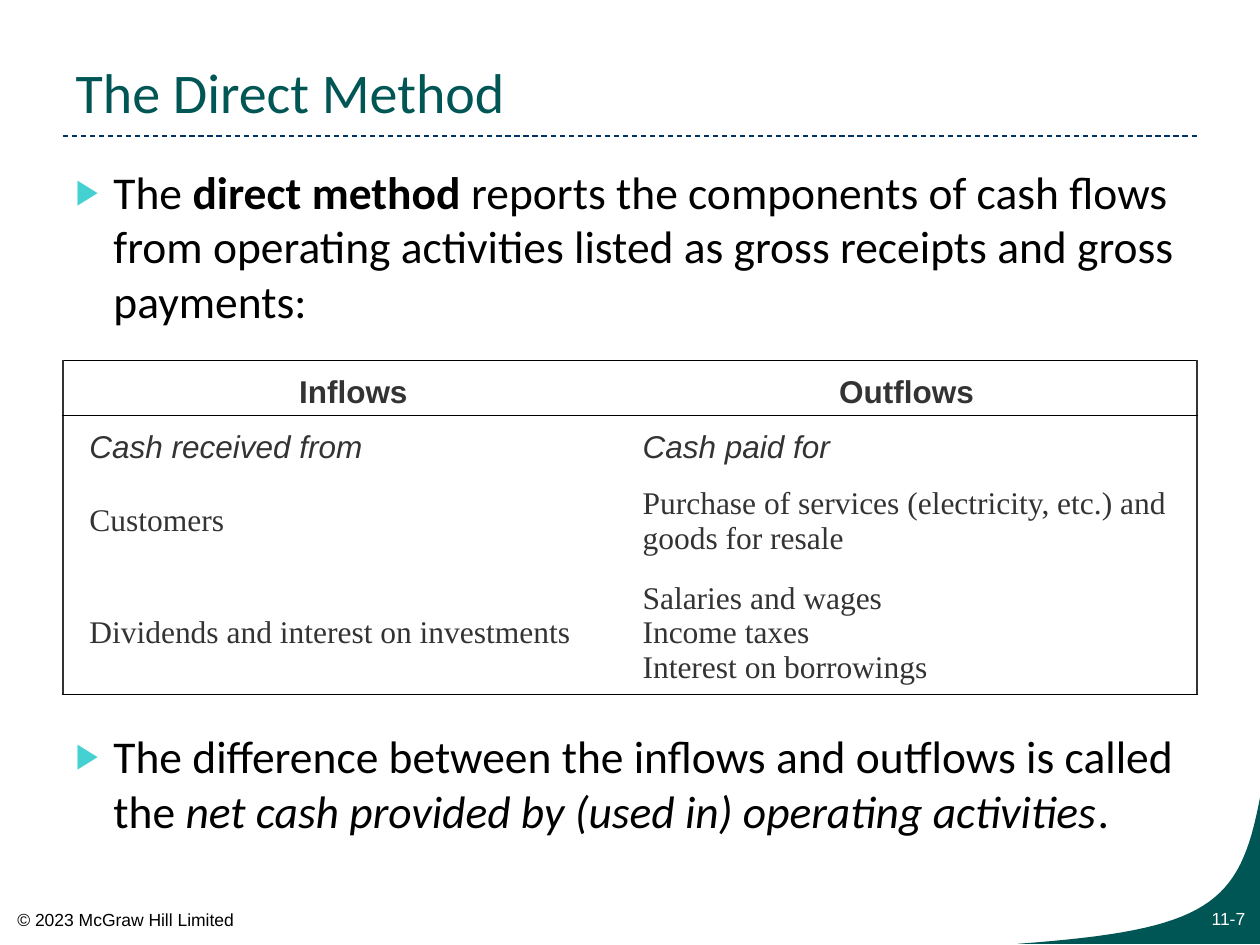
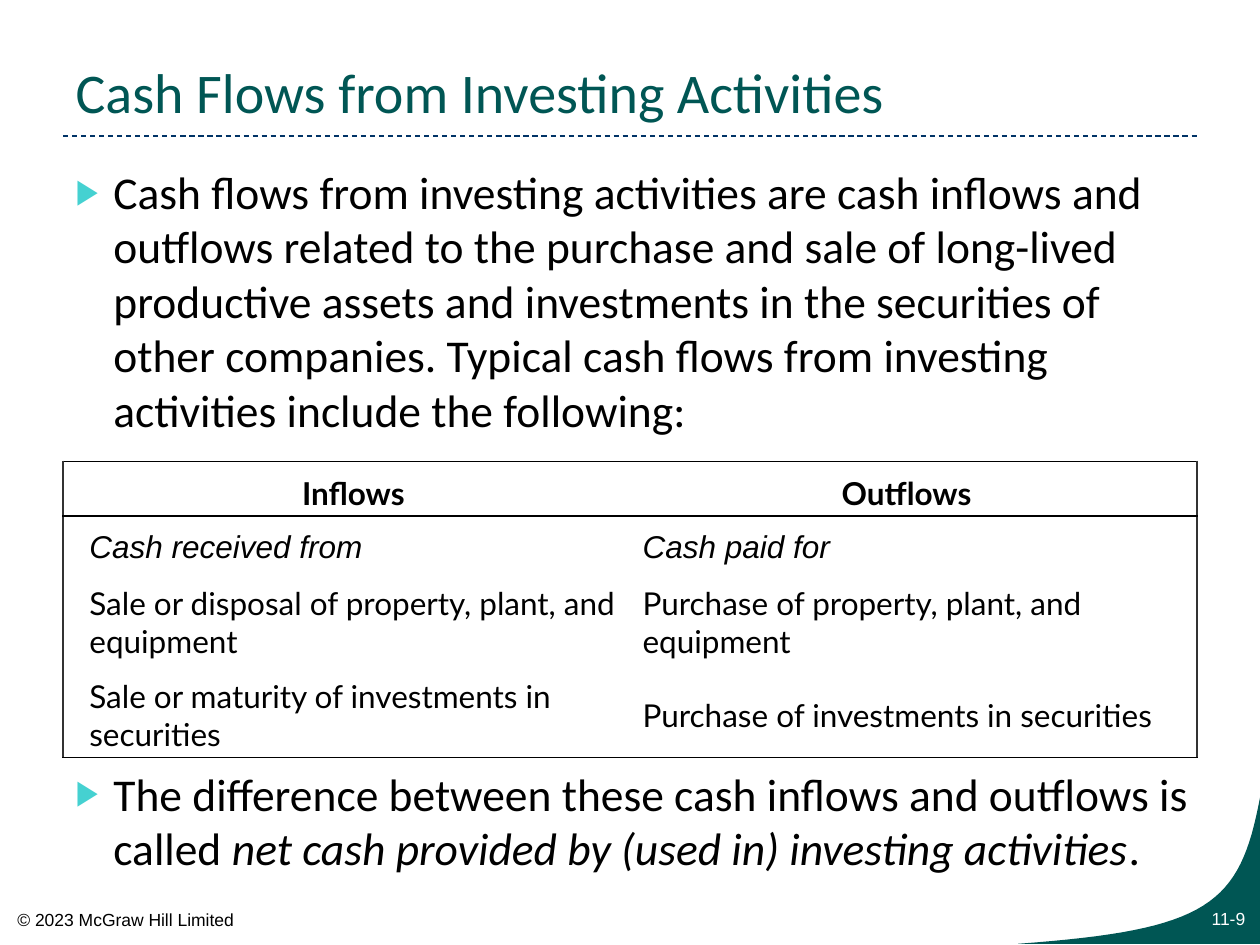
import pptx
import pptx.util
import pptx.dml.color
import pptx.enum.dml
import pptx.enum.text
import pptx.oxml
import pptx.oxml.ns
from lxml import etree

Pt = pptx.util.Pt
ALIGN = pptx.enum.text.PP_ALIGN
ANCHOR = pptx.enum.text.MSO_ANCHOR
qn = pptx.oxml.ns.qn

COLORS = {"teal": "005654", "aqua": "45D1D1", "navy": "003366",
          "black": "000000", "gray": "333333", "white": "FFFFFF"}

TITLE = {"name": "Calibri", "size": Pt(32), "color": "teal"}
BODY = {"name": "Calibri", "size": Pt(26), "color": "black"}
SMALL = {"name": "Arial", "size": Pt(10)}

SLIDES = [
    {"title": "The Direct Method", "number": "11-7",
     "body_width": 648, "gap": 229,
     "bullets": [
         [("The ", {}), ("direct method", {"bold": True}),
          (" reports the components of cash flows from operating activities "
           "listed as gross receipts and gross payments:", {})],
         [("The difference between the inflows and outflows is called the ", {}),
          ("net cash provided by (used in) operating activities", {"italic": True}),
          (".", {})]],
     "table_top": 205.9, "row_heights": [31.4, 31.4, 53.4, 74.6],
     "head_font": "Arial", "cell_font": "Times New Roman", "cell_color": "gray",
     "rows": [
         ["Inflows", "Outflows"],
         ["Cash received from", "Cash paid for"],
         ["Customers",
          "Purchase of services (electricity, etc.) and goods for resale"],
         ["Dividends and interest on investments",
          "Salaries and wages\nIncome taxes\nInterest on borrowings"]]},
    {"title": "Cash Flows from Investing Activities", "number": "11-9",
     "body_width": 660, "gap": 188,
     "bullets": [
         [("Cash flows from investing activities are cash inflows and outflows "
           "related to the purchase and sale of long-lived productive assets and "
           "investments in the securities of other companies. Typical cash flows "
           "from investing activities include the following:", {})],
         [("The difference between these cash inflows and outflows is called ", {}),
          ("net cash provided by (used in) investing activities", {"italic": True}),
          (".", {})]],
     "table_top": 263.5, "row_heights": [31.4, 31.4, 53.4, 53.4],
     "head_font": "Lato", "cell_font": "Lato", "cell_color": "black",
     "rows": [
         ["Inflows", "Outflows"],
         ["Cash received from", "Cash paid for"],
         ["Sale or disposal of property, plant, and equipment",
          "Purchase of property, plant, and equipment"],
         ["Sale or maturity of investments in securities",
          "Purchase of investments in securities"]]},
]

# Corner sweep: points along one cubic curve, from the bottom edge to the right edge
CURVE = [(581.8, 539.3), (691, 531.4), (708.5, 517), (720, 455.8)]
STEPS = 32
sweep = []
for i in range(STEPS + 1):
    t = i / STEPS
    weights = [(1 - t) ** 3, 3 * t * (1 - t) ** 2, 3 * t ** 2 * (1 - t), t ** 3]
    sweep.append(tuple(Pt(sum(w * c[axis] for w, c in zip(weights, CURVE)))
                       for axis in (0, 1)))
sweep.append((Pt(720), Pt(539.3)))


def rgb(color):
    return pptx.dml.color.RGBColor.from_string(COLORS[color])


def set_font(font, fmt):
    for key, value in fmt.items():
        if key == "color":
            font.color.rgb = rgb(value)
        else:
            setattr(font, key, value)


prs = pptx.Presentation()
prs.slide_width, prs.slide_height = Pt(720), Pt(540)

for data in SLIDES:
    s = prs.slides.add_slide(prs.slide_layouts[1])

    # Title
    sp = s.shapes.title
    sp.left, sp.top, sp.width, sp.height = Pt(36), Pt(12.2), Pt(648), Pt(62.6)
    tf = sp.text_frame
    tf.text = data["title"]
    tf.vertical_anchor = ANCHOR.BOTTOM
    tf.auto_size = pptx.enum.text.MSO_AUTO_SIZE.NONE
    tf.paragraphs[0].alignment = ALIGN.LEFT
    set_font(tf.paragraphs[0].runs[0].font, TITLE)

    # Bullets above and below the table
    sp = s.placeholders[1]
    sp.left, sp.top = Pt(36), Pt(90)
    sp.width, sp.height = Pt(data["body_width"]), Pt(420)
    tf = sp.text_frame
    tf.auto_size = pptx.enum.text.MSO_AUTO_SIZE.NONE
    for i, parts in enumerate(data["bullets"]):
        p = tf.add_paragraph() if i else tf.paragraphs[0]
        pPr = p._p.get_or_add_pPr()
        pPr.set("marL", str(Pt(21.6)))
        pPr.set("indent", str(-Pt(21.6)))
        buClr = etree.SubElement(pPr, qn("a:buClr"))
        etree.SubElement(buClr, qn("a:srgbClr"), val=COLORS["aqua"])
        etree.SubElement(pPr, qn("a:buSzPct"), val="76000")
        etree.SubElement(pPr, qn("a:buChar"), char="▶")
        p.space_before = Pt(data["gap"] if i else 0)
        for text, fmt in parts:
            r = p.add_run()
            r.text = text
            set_font(r.font, {**BODY, **fmt})

    # Dashed rule under the title
    line = s.shapes.add_connector(pptx.enum.shapes.MSO_CONNECTOR.STRAIGHT,
                                  Pt(36), Pt(77.8), Pt(684), Pt(77.8))
    line.line.color.rgb = rgb("navy")
    line.line.width = Pt(0.75)
    line.line.dash_style = pptx.enum.dml.MSO_LINE.DASH
    etree.SubElement(line._element.spPr, qn("a:effectLst"))

    # Corner sweep
    builder = s.shapes.build_freeform(*sweep[0], scale=1.0)
    builder.add_line_segments(sweep[1:], close=True)
    sp = builder.convert_to_shape()
    sp.shadow.inherit = False
    sp.fill.solid()
    sp.fill.fore_color.rgb = rgb("teal")
    sp.line.fill.background()

    # Slide number and copyright line
    for text, left, top, width, align, color, wrap in [
            (data["number"], 648, 515.5, 70.6, ALIGN.RIGHT, "white", True),
            ("© 2023 McGraw Hill Limited", 2.9, 516.2, 139.7, ALIGN.LEFT, "black", False)]:
        tf = s.shapes.add_textbox(Pt(left), Pt(top), Pt(width), Pt(19.4)).text_frame
        tf.word_wrap = wrap
        p = tf.paragraphs[0]
        p.alignment = align
        r = p.add_run()
        r.text = text
        set_font(r.font, {**SMALL, "color": color})

    # Inflows and outflows table
    heights = data["row_heights"]
    last = len(heights) - 1
    table = s.shapes.add_table(len(heights), 2, Pt(36), Pt(data["table_top"]),
                               Pt(648), Pt(sum(heights))).table
    table.first_row = table.horz_banding = False
    for row, height in zip(table.rows, heights):
        row.height = Pt(height)
    for i, texts in enumerate(data["rows"]):
        fmt = {"name": data["head_font"] if i == 0 else
               "Arial" if i == 1 else data["cell_font"],
               "size": Pt(18), "color": data["cell_color"],
               "bold": i == 0, "italic": i == 1}
        for j, text in enumerate(texts):
            cell = table.cell(i, j)
            cell.fill.solid()
            cell.fill.fore_color.rgb = rgb("white")
            cell.vertical_anchor = ANCHOR.MIDDLE
            cell.margin_left, cell.margin_right = Pt(7.2 if j else 15.1), Pt(15.1 if j else 7.2)
            cell.margin_top, cell.margin_bottom = Pt(7.2), Pt(2.2)
            cell.text = text
            for p in cell.text_frame.paragraphs:
                p.alignment = ALIGN.LEFT if i else ALIGN.CENTER
                set_font(p.runs[0].font, fmt)

            # Frame around the table and a rule below its header
            borders = [("a:lnL", "gray", j == 0), ("a:lnR", "gray", j == 1),
                       ("a:lnT", "black", i <= 1), ("a:lnB", "black", i in (0, last))]
            tcPr = cell._tc.get_or_add_tcPr()
            for k, (tag, color, shown) in enumerate(borders):
                ln = etree.Element(qn(tag), w=str(Pt(0.75)))
                if shown:
                    fill = etree.SubElement(ln, qn("a:solidFill"))
                    etree.SubElement(fill, qn("a:srgbClr"), val=COLORS[color])
                else:
                    etree.SubElement(ln, qn("a:noFill"))
                tcPr.insert(k, ln)

prs.save("out.pptx")
